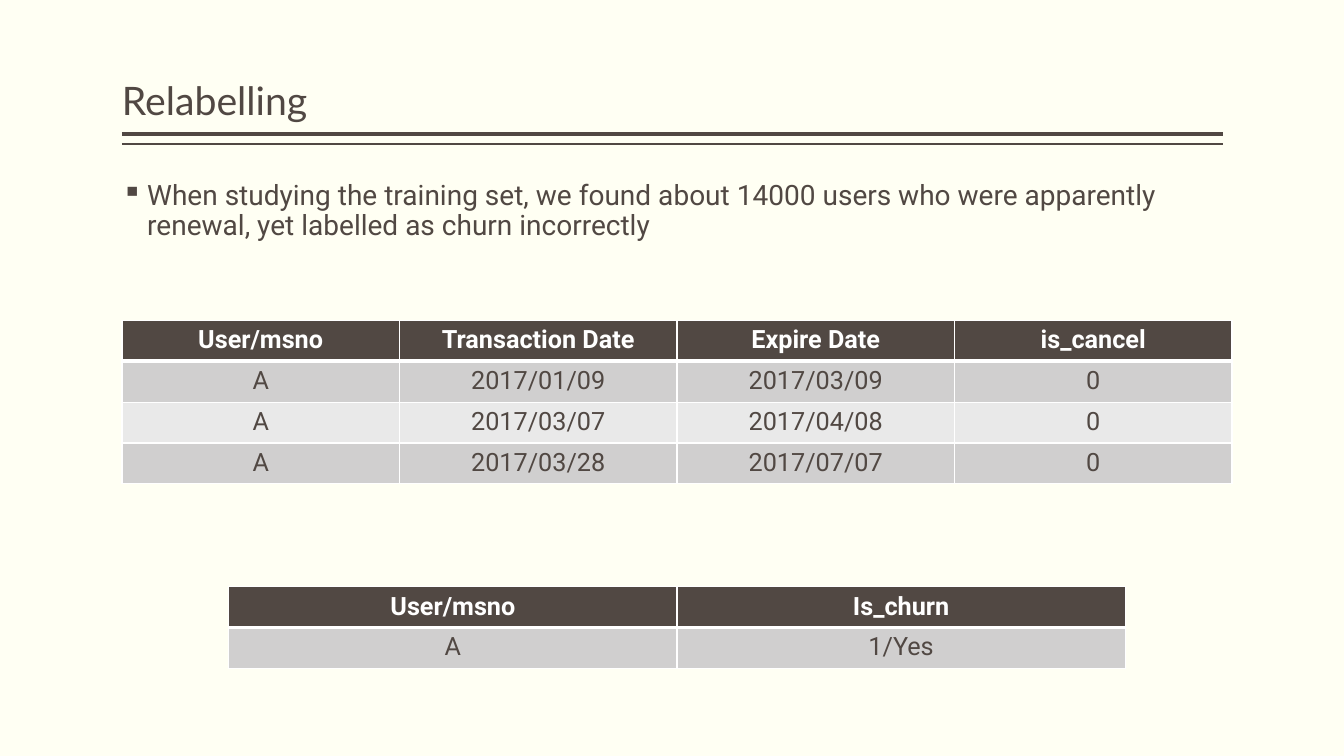
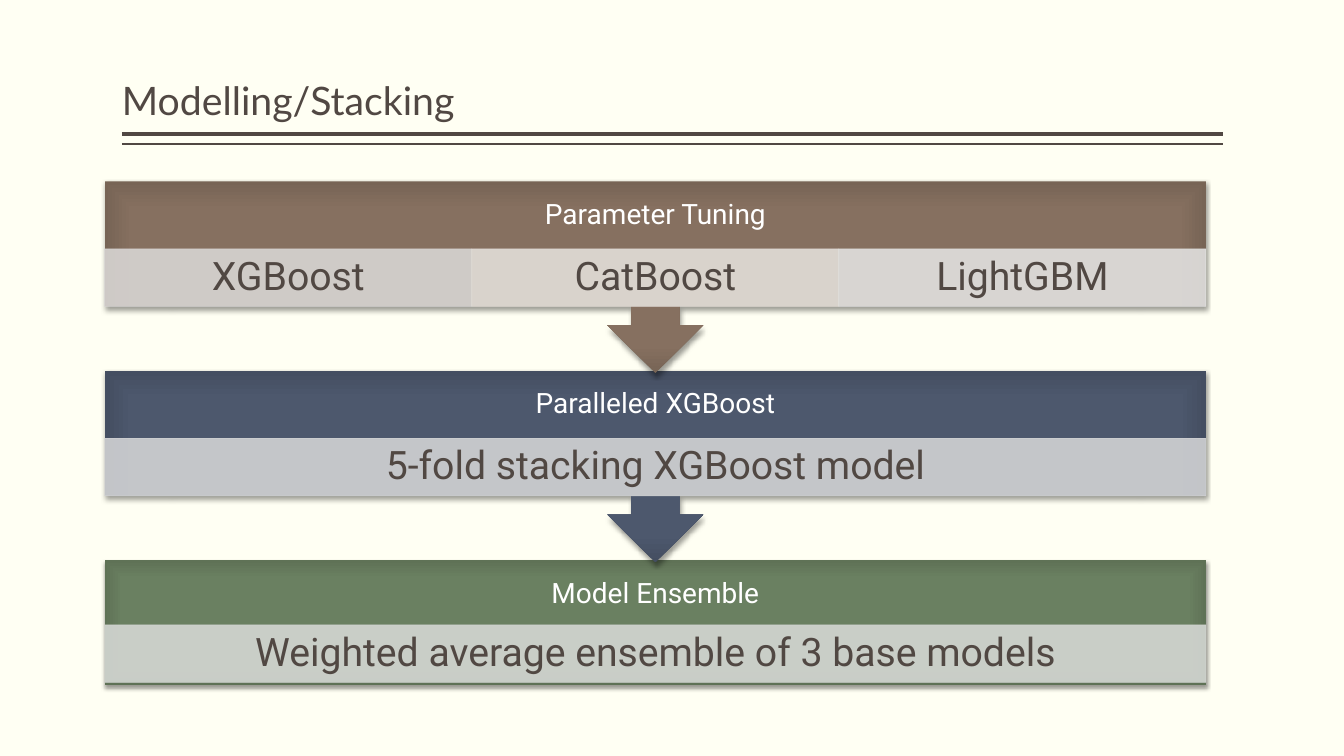
from lxml import etree
from pptx import Presentation
from pptx.dml.color import RGBColor
from pptx.enum import shapes, text
from pptx.oxml import parse_xml
from pptx.oxml.ns import nsdecls, qn
from pptx.util import Inches, Pt

# Content
RELABEL_TITLE = "Relabelling"
RELABEL_POINT = ("When studying the training set, we found about 14000 users who were "
                 "apparently renewal, yet labelled as churn incorrectly")
TRANSACTIONS = [
    ("User/msno", "Transaction Date", "Expire Date", "is_cancel"),
    ("A", "2017/01/09", "2017/03/09", "0"),
    ("A", "2017/03/07", "2017/04/08", "0"),
    ("A", "2017/03/28", "2017/07/07", "0"),
]
CHURN = [("User/msno", "Is_churn"), ("A", "1/Yes")]

STACKING_TITLE = "Modelling/Stacking"
# Heading, gradient stops, then (label, fill) for each part
STAGES = [
    ("Parameter Tuning", ("877161", "867060", "776455"),
     [("XGBoost", "D8D5D3"), ("CatBoost", "E3DED8"), ("LightGBM", "E1E0DF")]),
    ("Paralleled XGBoost", ("4E596E", "4D586D", "444E61"),
     [("5-fold stacking XGBoost model", "D1D2D4")]),
    ("Model Ensemble", ("6B8162", "6A8061", "5F7256"),
     [("Weighted average ensemble of 3 base models", "D4D7D3")]),
]

# Shared style
COLORS = {"back": "FFFFF3", "ink": "514843", "white": "FFFFFF",
          "odd_row": "D0CFCF", "even_row": "E9E9E9"}
HEAD_FONT, BODY_FONT = "Lato", "Roboto"
LEFT, WIDTH = 1.21, 10.92
RULES = [(1.33, 3), (1.43, 1)]  # height on the slide, weight

# Stage layout
STAGE_LEFT, STAGE_TOP, STAGE_STEP = 1.04, 1.8, 1.88
CALLOUT_H, LAST_H = 1.9, 1.24
HEADING_H, PART_H = 0.67, 0.57


def rgb(name):
    return RGBColor.from_string(COLORS.get(name, name))


def write(tf, content, size=18, font=BODY_FONT, color="ink", bold=False,
          align=text.PP_ALIGN.LEFT, spacing=None, bullet=None):
    p = tf.paragraphs[0]
    p.alignment = align
    p.line_spacing = spacing
    if bullet:
        pPr = p._p.get_or_add_pPr()
        pPr.set("marL", str(Inches(0.25)))
        pPr.set("indent", str(-Inches(0.25)))
        etree.SubElement(pPr, qn("a:buChar")).set("char", bullet)
    r = p.add_run()
    r.text = content
    r.font.size, r.font.name, r.font.bold = Pt(size), font, bold
    r.font.color.rgb = rgb(color)


def frame(sp, anchor, inset_x, inset_y):
    tf = sp.text_frame
    tf.word_wrap = True
    tf.vertical_anchor = anchor
    tf.margin_left = tf.margin_right = Inches(inset_x)
    tf.margin_top = tf.margin_bottom = Inches(inset_y)
    return tf


def add_text(slide, box, content, anchor=text.MSO_ANCHOR.TOP, inset=(0, 0.05), **fmt):
    sp = slide.shapes.add_textbox(*map(Inches, box))
    write(frame(sp, anchor, *inset), content, spacing=0.9, **fmt)


def add_titled_slide(prs, title):
    slide = prs.slides.add_slide(prs.slide_layouts[6])
    for y, weight in RULES:
        line = slide.shapes.add_connector(
            shapes.MSO_CONNECTOR.STRAIGHT, Inches(LEFT), Inches(y),
            Inches(LEFT + WIDTH), Inches(y))
        line.line.color.rgb = rgb("ink")
        line.line.width = Pt(weight)
        etree.SubElement(line._element.spPr, qn("a:effectLst"))
    add_text(slide, (LEFT, 0.08, WIDTH, 1.2), title, size=28, font=HEAD_FONT,
             anchor=text.MSO_ANCHOR.BOTTOM)
    return slide


def set_borders(cell, **widths):
    tcPr = cell._tc.get_or_add_tcPr()
    for i, side in enumerate("LRTB"):
        tcPr.insert(i, parse_xml(
            f'<a:ln{side} {nsdecls("a")} w="{Pt(widths.get(side, 1))}"><a:solidFill>'
            f'<a:srgbClr val="{COLORS["white"]}"/></a:solidFill></a:ln{side}>'))


def add_grid(slide, rows, box):
    table = slide.shapes.add_table(len(rows), len(rows[0]), *map(Inches, box)).table
    for i, row in enumerate(rows):
        fill = "ink" if i == 0 else "odd_row" if i % 2 else "even_row"
        for j, value in enumerate(row):
            cell = table.cell(i, j)
            cell.fill.solid()
            cell.fill.fore_color.rgb = rgb(fill)
            # Thick rule between header and body
            set_borders(cell, T=3 if i == 1 else 1, B=3 if i == 0 else 1)
            write(cell.text_frame, value, bold=i == 0, align=text.PP_ALIGN.CENTER,
                  color="white" if i == 0 else "ink")


def add_block(slide, kind, box):
    sp = slide.shapes.add_shape(kind, *map(Inches, box))
    sp.shadow.inherit = False
    sp.line.fill.background()
    return sp


def shade(sp, stops):
    """Give a block its centred gradient and soft shadow."""
    gs = "".join(f'<a:gs pos="{pos}000"><a:srgbClr val="{c}"/></a:gs>'
                 for pos, c in zip((0, 71, 100), stops))
    spPr = sp._element.spPr
    spPr.find(qn("a:prstGeom")).addnext(parse_xml(
        f'<a:gradFill {nsdecls("a")}><a:gsLst>{gs}</a:gsLst><a:path path="rect">'
        '<a:fillToRect l="50000" t="50000" r="50000" b="50000"/></a:path></a:gradFill>'))
    spPr.find(qn("a:effectLst")).append(parse_xml(
        f'<a:outerShdw {nsdecls("a")} blurRad="{Pt(3.1)}" dist="{Pt(2)}" dir="5400000" '
        'rotWithShape="0"><a:srgbClr val="000000"><a:alpha val="38000"/></a:srgbClr>'
        '</a:outerShdw>'))


def add_part(slide, box, label, fill):
    sp = add_block(slide, shapes.MSO_SHAPE.RECTANGLE, box)
    sp.fill.solid()
    sp.fill.fore_color.rgb = rgb(fill)
    sp.line.color.rgb = rgb(fill)
    sp.line.width = Pt(0.5)
    for color in sp._element.spPr.iter(qn("a:srgbClr")):
        etree.SubElement(color, qn("a:alpha")).set("val", "90000")
    write(frame(sp, text.MSO_ANCHOR.MIDDLE, 0.22, 0.04), label, size=28,
          align=text.PP_ALIGN.CENTER, spacing=0.9)


def add_stage(slide, index):
    heading, stops, parts = STAGES[index]
    last = index == len(STAGES) - 1
    top = STAGE_TOP + index * STAGE_STEP
    if last:
        sp = add_block(slide, shapes.MSO_SHAPE.RECTANGLE, (STAGE_LEFT, top, WIDTH, LAST_H))
    else:
        sp = add_block(slide, shapes.MSO_SHAPE.UP_ARROW_CALLOUT,
                       (STAGE_LEFT, top, WIDTH, CALLOUT_H))
        sp.rotation = 180
    shade(sp, stops)
    add_text(slide, (STAGE_LEFT, top, WIDTH, HEADING_H), heading, size=20, color="white",
             anchor=text.MSO_ANCHOR.MIDDLE, inset=(0.16, 0.16),
             align=text.PP_ALIGN.CENTER)
    part_top = top + (0.64 if last else HEADING_H)
    part_w = WIDTH / len(parts)
    for i, (label, fill) in enumerate(parts):
        add_part(slide, (STAGE_LEFT + i * part_w, part_top, part_w, PART_H), label, fill)


def main():
    prs = Presentation()
    prs.slide_width, prs.slide_height = Inches(13.33), Inches(7.5)
    back = prs.slide_master.background.fill
    back.solid()
    back.fore_color.rgb = rgb("back")

    # Relabelling
    slide = add_titled_slide(prs, RELABEL_TITLE)
    add_text(slide, (LEFT, 1.75, WIDTH, 1), RELABEL_POINT, size=20, bullet="▪")
    add_grid(slide, TRANSACTIONS, (LEFT, 3.18, 11.01, 1.62))
    add_grid(slide, CHURN, (2.27, 5.82, 8.89, 0.81))

    # Stacking: bottom stage first, so each arrow overlaps the stage below
    slide = add_titled_slide(prs, STACKING_TITLE)
    for index in reversed(range(len(STAGES))):
        add_stage(slide, index)

    prs.save("out.pptx")


if __name__ == "__main__":
    main()
